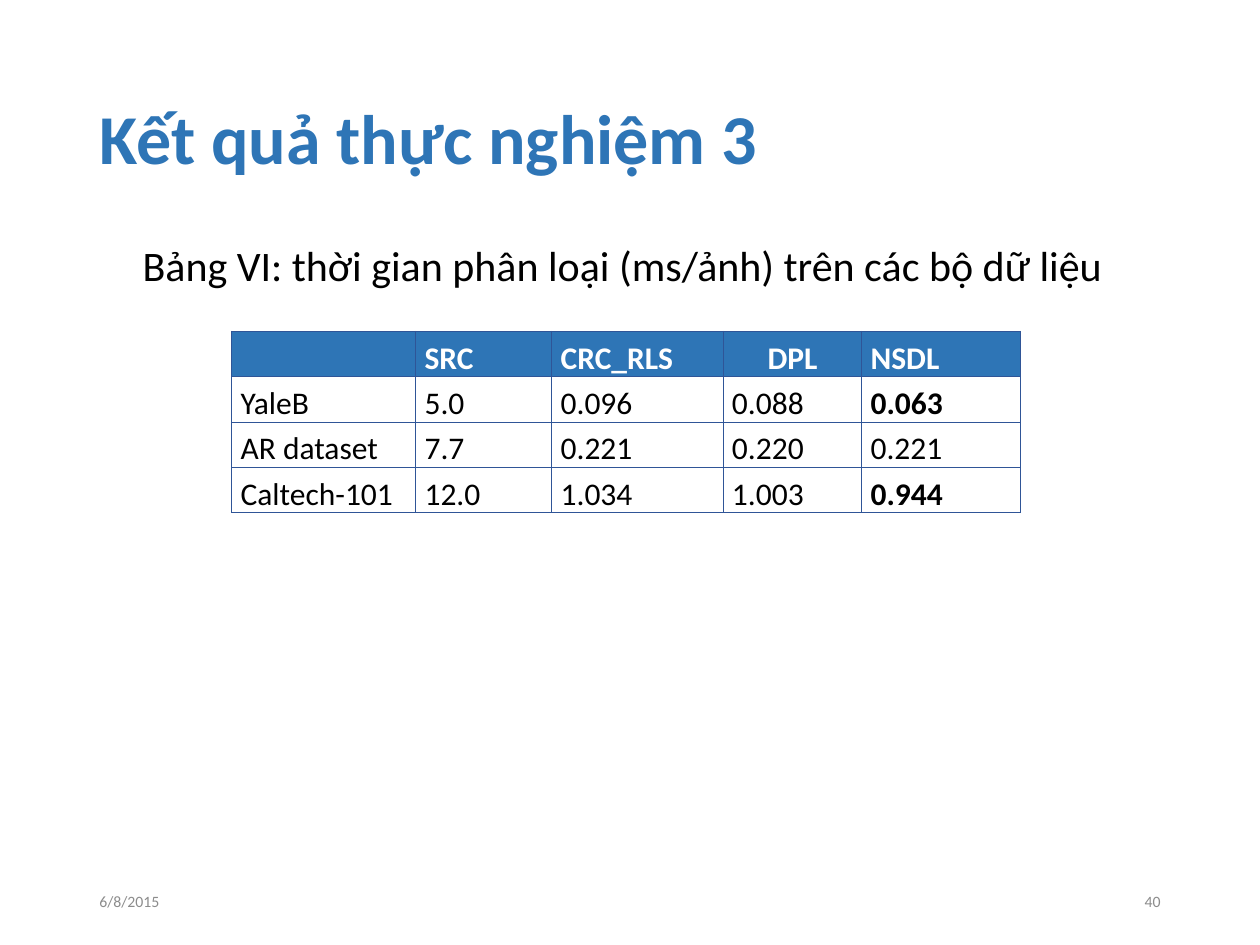
from lxml.etree import SubElement
from pptx import Presentation
from pptx.dml.color import RGBColor
from pptx.enum.text import MSO_ANCHOR, PP_ALIGN
from pptx.oxml.ns import qn
from pptx.util import Inches, Pt

FONT = "Calibri"
COLORS = {
    "accent": "2E75B6",
    "border": "2F5597",
    "text": "000000",
    "header_text": "FFFFFF",
    "footer": "8C8C8C",
}
COLUMN_WIDTHS = [1.46, 1.08, 1.36, 1.1, 1.26]
ROW_HEIGHT = 0.36
TIMES = [
    ["", "SRC", "CRC_RLS", "DPL", "NSDL"],
    ["YaleB", "5.0", "0.096", "0.088", "0.063"],
    ["AR dataset", "7.7", "0.221", "0.220", "0.221"],
    ["Caltech-101", "12.0", "1.034", "1.003", "0.944"],
]
BEST_TIMES = {"0.063", "0.944"}


def write_text(frame, text, size, color="text", bold=False,
               align=PP_ALIGN.LEFT, line_spacing=None):
    paragraph = frame.paragraphs[0]
    paragraph.alignment = align
    paragraph.line_spacing = line_spacing
    paragraph.font.size = Pt(size)
    if text:
        run = paragraph.add_run()
        run.text = text
        run.font.name = FONT
        run.font.size = Pt(size)
        run.font.bold = bold
        run.font.color.rgb = RGBColor.from_string(COLORS[color])


def add_text_box(slide, text, left, top, width, height,
                 anchor=MSO_ANCHOR.MIDDLE, wrap=True, **text_format):
    box = slide.shapes.add_textbox(
        Inches(left), Inches(top), Inches(width), Inches(height))
    box.text_frame.word_wrap = wrap
    box.text_frame.vertical_anchor = anchor
    write_text(box.text_frame, text, **text_format)


def add_borders(cell):
    properties = cell._tc.get_or_add_tcPr()
    for side in ("a:lnL", "a:lnR", "a:lnT", "a:lnB"):
        line = SubElement(properties, qn(side), w=str(Pt(0.75)))
        fill = SubElement(line, qn("a:solidFill"))
        SubElement(fill, qn("a:srgbClr"), val=COLORS["border"])


def cell_alignment(text, column):
    if text == "DPL":
        return PP_ALIGN.CENTER
    return PP_ALIGN.JUSTIFY if column else PP_ALIGN.LEFT


def format_cell(cell, text, column, is_header):
    cell.margin_left = cell.margin_right = Inches(0.07)
    cell.margin_top = cell.margin_bottom = 0
    cell.vertical_anchor = MSO_ANCHOR.MIDDLE
    add_borders(cell)
    if is_header:
        cell.fill.solid()
        cell.fill.fore_color.rgb = RGBColor.from_string(COLORS["accent"])
    else:
        cell.fill.background()
    write_text(cell.text_frame, text, size=18,
               color="header_text" if is_header else "text",
               bold=is_header or text in BEST_TIMES,
               align=cell_alignment(text, column), line_spacing=1.2)


def add_times_table(slide, left, top):
    table = slide.shapes.add_table(
        len(TIMES), len(COLUMN_WIDTHS), Inches(left), Inches(top),
        Inches(sum(COLUMN_WIDTHS)), Inches(ROW_HEIGHT * len(TIMES))).table
    table.horz_banding = False
    for column, width in zip(table.columns, COLUMN_WIDTHS):
        column.width = Inches(width)
    for row_index, values in enumerate(TIMES):
        table.rows[row_index].height = Inches(ROW_HEIGHT)
        for column_index, text in enumerate(values):
            format_cell(table.cell(row_index, column_index), text,
                        column_index, is_header=row_index == 0)


def main():
    presentation = Presentation()
    presentation.slide_width = Inches(10)
    presentation.slide_height = Inches(7.5)
    slide = presentation.slides.add_slide(presentation.slide_layouts[6])

    add_text_box(slide, "Kết quả thực nghiệm 3", 0.69, 0.4, 8.62, 1.45,
                 size=40, color="accent", bold=True, line_spacing=0.9)
    add_text_box(slide, "6/8/2015", 0.69, 6.95, 2.25, 0.4,
                 size=9, color="footer")
    add_text_box(slide, "40", 7.06, 6.95, 2.25, 0.4,
                 size=9, color="footer", align=PP_ALIGN.RIGHT)
    add_text_box(slide,
                 "Bảng VI: thời gian phân loại (ms/ảnh) trên các bộ dữ liệu",
                 1, 1.85, 7.88, 0.5, anchor=MSO_ANCHOR.TOP, wrap=False,
                 size=24, align=PP_ALIGN.CENTER)
    add_times_table(slide, 1.84, 2.63)

    presentation.save("out.pptx")


if __name__ == "__main__":
    main()
